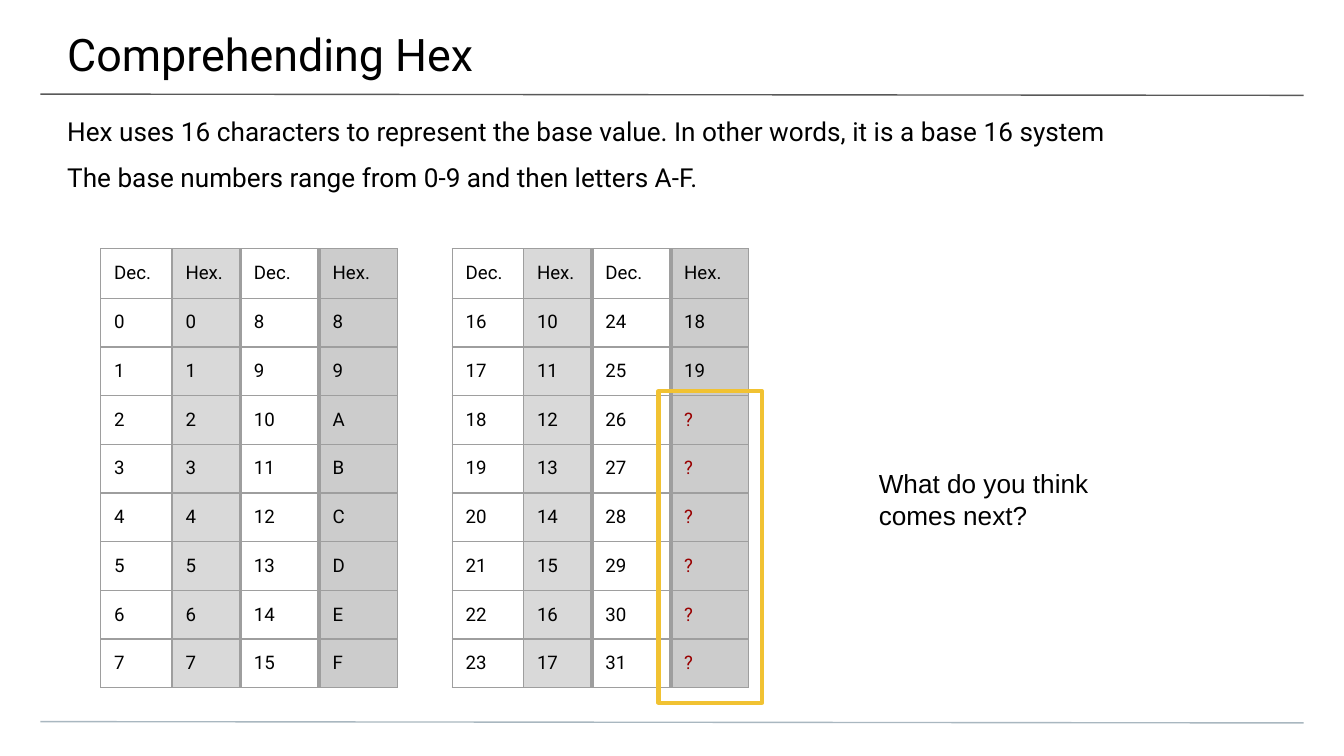
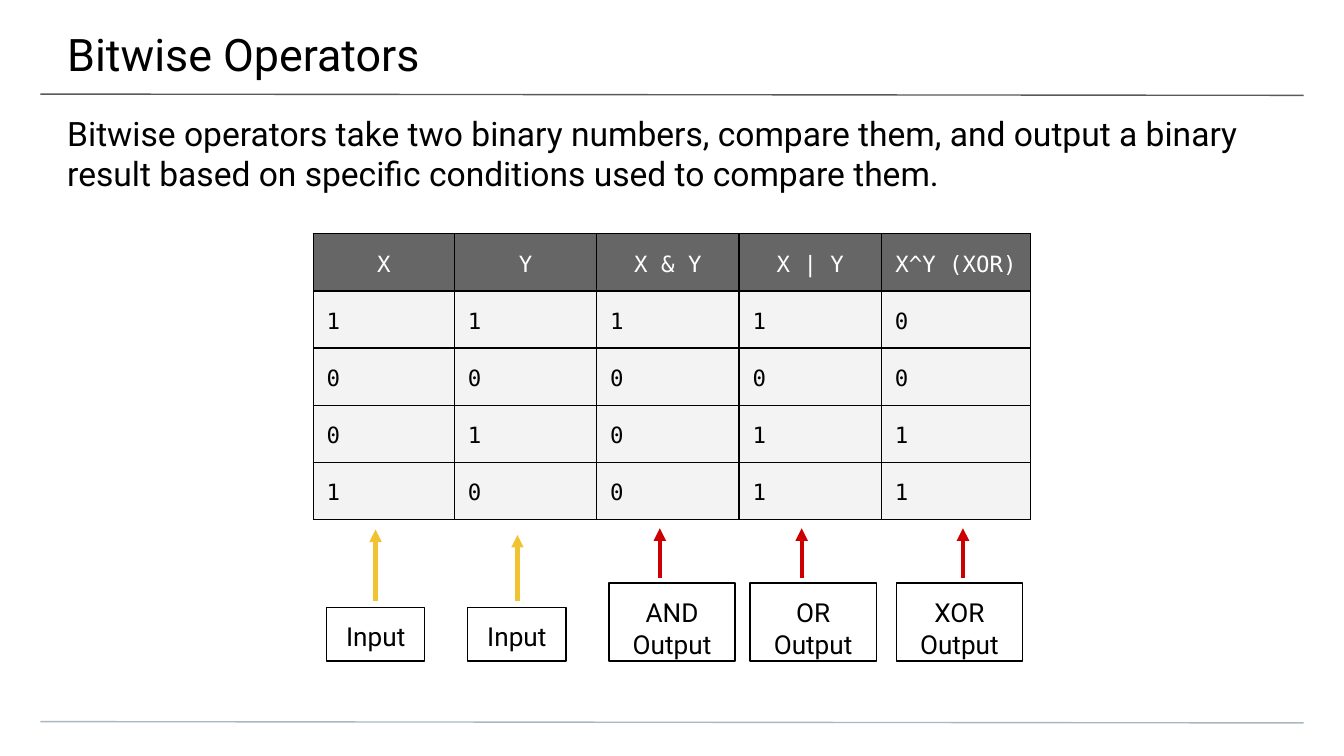
from itertools import accumulate

from lxml.etree import SubElement
from pptx import Presentation
from pptx.dml.color import RGBColor
from pptx.enum.shapes import MSO_CONNECTOR as Connector, MSO_SHAPE as Shape
from pptx.enum.text import MSO_ANCHOR as Anchor, MSO_AUTO_SIZE as AutoSize, PP_ALIGN as Align
from pptx.oxml.ns import qn
from pptx.util import Pt

COLORS = {
    "text": "000000",
    "white": "FFFFFF",
    "title_rule": "595959",
    "footer_rule": "A9B7C0",
    "hex_border": "9E9E9E",
    "light_gray": "D9D9D9",
    "mid_gray": "CCCCCC",
    "unknown": "990000",
    "header": "666666",
    "row": "F3F3F3",
    "yellow": "F1C232",
    "red": "CC0000",
}
BODY_FONT = "Roboto"
CODE_FONT = "DejaVu Sans Mono"
PADDING = 7.2
EVEN_INSETS = (PADDING,) * 4
HAIRLINE = 0.75
THICK = 2.25


def rgb(name):
    return RGBColor.from_string(COLORS[name])


def add_run(paragraph, text, size, font=BODY_FONT, color="text"):
    run = paragraph.add_run()
    run.text = text
    run.font.size = Pt(size)
    run.font.name = font
    run.font.color.rgb = rgb(color)


def set_frame(frame, insets):
    frame.margin_left, frame.margin_top, frame.margin_right, frame.margin_bottom = map(Pt, insets)
    frame.word_wrap = True
    frame.auto_size = AutoSize.NONE
    frame.vertical_anchor = Anchor.TOP


def place(shape, left, top, width, height):
    shape.left, shape.top = Pt(left), Pt(top)
    shape.width, shape.height = Pt(width), Pt(height)


def add_line(slide, start, end, color, width=HAIRLINE, arrow=False):
    line = slide.shapes.add_connector(Connector.STRAIGHT, *map(Pt, (*start, *end)))
    line.line.color.rgb = rgb(color)
    line.line.width = Pt(width)
    properties = line._element.spPr
    if arrow:
        SubElement(properties.find(qn("a:ln")), qn("a:tailEnd"), type="triangle")
    SubElement(properties, qn("a:effectLst"))


def add_slide(presentation, title):
    slide = presentation.slides.add_slide(presentation.slide_layouts[1])
    for top, color in ((50.4, "title_rule"), (386.6, "footer_rule")):
        add_line(slide, (21.6, top), (698.4, top + 0.7), color)
    place(slide.shapes.title, 0, 0, 720, 42)
    frame = slide.shapes.title.text_frame
    set_frame(frame, (36, 14.4, 21.6, PADDING))
    frame.paragraphs[0].alignment = Align.LEFT
    add_run(frame.paragraphs[0], title, 24)
    return slide


def fill_body(slide, texts, size, top, height, insets, gap=0):
    body = slide.placeholders[1]
    place(body, 0, top, 720, height)
    set_frame(body.text_frame, insets)
    for index, text in enumerate(texts):
        paragraph = body.text_frame.add_paragraph() if index else body.text_frame.paragraphs[0]
        properties = paragraph._p.get_or_add_pPr()
        properties.set("marL", "0")
        properties.set("indent", "0")
        SubElement(properties, qn("a:buNone"))
        paragraph.alignment = Align.LEFT
        paragraph.space_before = Pt(gap if index else 0)
        add_run(paragraph, text, size)


def set_borders(cell, color, left=HAIRLINE, right=HAIRLINE):
    properties = cell._tc.get_or_add_tcPr()
    widths = {"lnL": left, "lnR": right, "lnT": HAIRLINE, "lnB": HAIRLINE}
    for tag, width in widths.items():
        border = SubElement(properties, qn(f"a:{tag}"), w=str(Pt(width)))
        solid = SubElement(border, qn("a:solidFill"))
        SubElement(solid, qn("a:srgbClr"), val=COLORS[color])


def add_table(slide, left, top, columns, heights, rows, style_cell):
    frame = slide.shapes.add_table(
        len(rows), len(columns), Pt(left), Pt(top), Pt(sum(columns)), Pt(sum(heights)))
    table = frame.table
    table.first_row = table.horz_banding = False
    for column, width in zip(table.columns, columns):
        column.width = Pt(width)
    for row, height in zip(table.rows, heights):
        row.height = Pt(height)
    for row_index, values in enumerate(rows):
        for column_index, value in enumerate(values):
            cell = table.cell(row_index, column_index)
            cell.margin_left = cell.margin_right = Pt(PADDING)
            cell.margin_top = cell.margin_bottom = Pt(PADDING)
            style_cell(cell, row_index, column_index, value)


def set_fill(cell, color):
    if color:
        cell.fill.solid()
        cell.fill.fore_color.rgb = rgb(color)
    else:
        cell.fill.background()


def style_hex_cell(cell, row, column, value):
    set_borders(cell, "hex_border",
                left=THICK if column in (2, 3) else HAIRLINE,
                right=THICK if column in (1, 2) else HAIRLINE)
    set_fill(cell, (None, "light_gray", None, "mid_gray")[column])
    color = "unknown" if value == "?" else "text"
    add_run(cell.text_frame.paragraphs[0], value, 10, color=color)


def style_truth_cell(cell, row, column, value):
    set_borders(cell, "text")
    set_fill(cell, "row" if row else "header")
    paragraph = cell.text_frame.paragraphs[0]
    paragraph.alignment = Align.LEFT if row else Align.CENTER
    paragraph.line_spacing = 1.15
    add_run(paragraph, value, 12, CODE_FONT, "text" if row else "white")


def add_hex_table(slide, left, first, last_known):
    def pair(number):
        return [str(number), f"{number:X}" if number <= last_known else "?"]

    rows = [["Dec.", "Hex."] * 2]
    rows += [pair(number) + pair(number + 8) for number in range(first, first + 8)]
    add_table(slide, left, 133.2, (38.2, 36.7, 42.2, 41.8), (26.6,) + (24,) * 8,
              rows, style_hex_cell)


def add_outline(slide, left, top, width, height, color, line_width=HAIRLINE):
    shape = slide.shapes.add_shape(Shape.RECTANGLE, *map(Pt, (left, top, width, height)))
    shape.shadow.inherit = False
    shape.fill.background()
    shape.line.color.rgb = rgb(color)
    shape.line.width = Pt(line_width)
    return shape


def add_label(slide, text, left, width, height, bottom=354.2):
    shape = add_outline(slide, left, bottom - height, width, height, "text")
    set_frame(shape.text_frame, EVEN_INSETS)
    paragraph = shape.text_frame.paragraphs[0]
    paragraph.alignment = Align.CENTER
    add_run(paragraph, text, 14)


def build_hex_slide(presentation):
    slide = add_slide(presentation, "Comprehending Hex")
    fill_body(slide, [
        "Hex uses 16 characters to represent the base value. In other words, it is a base 16 system",
        "The base numbers range from 0-9 and then letters A-F.",
    ], 14, 61.9, 87, (36, 0, 36, 72), gap=8)
    add_hex_table(slide, 54, 0, 25)
    add_hex_table(slide, 242.3, 16, 25)
    question = slide.shapes.add_textbox(*map(Pt, (463.7, 243.4, 170, 72.7)))
    set_frame(question.text_frame, EVEN_INSETS)
    add_run(question.text_frame.paragraphs[0], "What do you think comes next?", 14, "Arial")
    add_outline(slide, 352.8, 209.5, 55.4, 167, "yellow", THICK)


def build_bitwise_slide(presentation):
    slide = add_slide(presentation, "Bitwise Operators")
    fill_body(slide, [
        "Bitwise operators take two binary numbers, compare them, and output a binary "
        "result based on specific conditions used to compare them.",
    ], 18, 53.3, 28.8, (36, PADDING, 36, 0))

    rows = [["X", "Y", "X & Y", "X | Y", "X^Y (XOR)"]]
    for x, y in ((1, 1), (0, 0), (0, 1), (1, 0)):
        rows.append([str(value) for value in (x, y, x & y, x | y, x ^ y)])
    columns = (75.6, 76.3, 76.3, 76.3, 79.9)
    table_left = 167.8
    add_table(slide, table_left, 125.3, columns, (29.5,) * 5, rows, style_truth_cell)

    column_lefts = accumulate(columns[:-1], initial=table_left)
    labels = (("Input", 7.2, 201.2, 283.7), ("Input", 7.2, 277.2, 286.6),
              ("AND Output", 6.5, 353.5, 283), ("OR Output", 5.8, 429.5, 283),
              ("XOR Output", 7.9, 515.9, 283))
    for column_left, (text, offset, arrow_x, arrow_top) in zip(column_lefts, labels):
        is_input = text == "Input"
        width, height = (52.6, 28.8) if is_input else (67.7, 41.8)
        add_label(slide, text, column_left + offset, width, height)
        add_line(slide, (arrow_x, 321.8 if is_input else 309.6), (arrow_x, arrow_top),
                 "yellow" if is_input else "red", THICK, arrow=True)


def main():
    presentation = Presentation()
    presentation.slide_width, presentation.slide_height = Pt(720), Pt(405)
    build_hex_slide(presentation)
    build_bitwise_slide(presentation)
    presentation.save("out.pptx")


if __name__ == "__main__":
    main()
